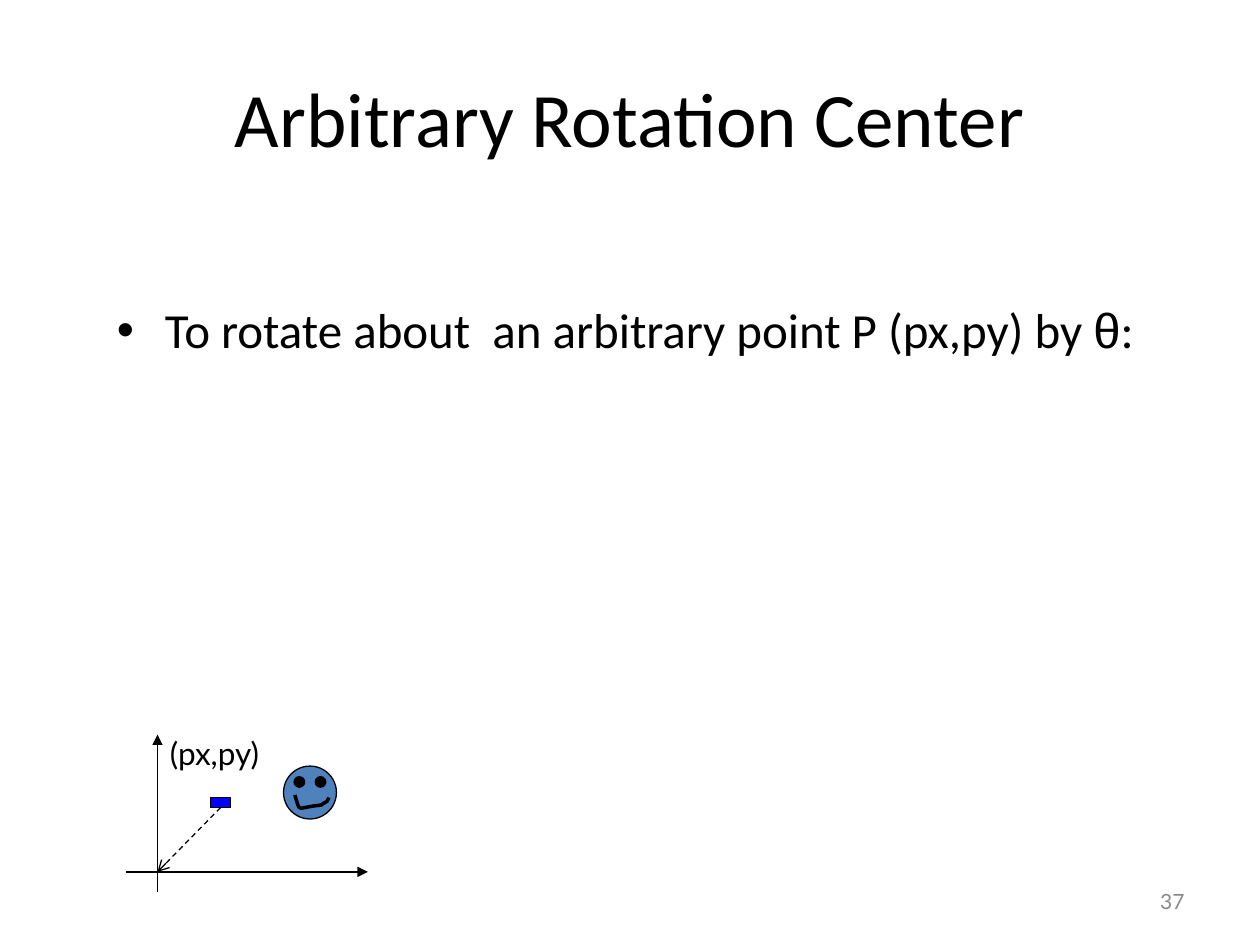
from lxml.etree import SubElement
from pptx import Presentation
from pptx.dml.color import RGBColor
from pptx.enum.dml import MSO_LINE
from pptx.enum.shapes import MSO_CONNECTOR, MSO_SHAPE as SHAPE
from pptx.enum.text import MSO_ANCHOR as ANCHOR, PP_ALIGN as ALIGN
from pptx.oxml.ns import qn
from pptx.util import Inches, Pt

BLACK = RGBColor(0x00, 0x00, 0x00)
GREY = RGBColor(0x89, 0x89, 0x89)
FACE_BLUE = RGBColor(0x4F, 0x81, 0xBD)
POINT_BLUE = RGBColor(0x00, 0x00, 0xFF)


def add_text(slide, box, runs, size, color=BLACK, wrap=True, align=ALIGN.LEFT,
             anchor=ANCHOR.TOP, bullet_indent=None):
    """Place one paragraph; runs are (text, font name) pairs."""
    frame = slide.shapes.add_textbox(*map(Inches, box)).text_frame
    for name, value in {"word_wrap": wrap, "vertical_anchor": anchor}.items():
        setattr(frame, name, value)
    paragraph = frame.paragraphs[0]
    if bullet_indent:
        props = paragraph._p.get_or_add_pPr()
        props.set("marL", str(Inches(bullet_indent)))
        props.set("indent", str(-Inches(bullet_indent)))
        SubElement(props, qn("a:buFont"), typeface="Arial")
        SubElement(props, qn("a:buChar"), char="•")
    paragraph.alignment = align
    for text, font_name in runs:
        run = paragraph.add_run()
        run.text = text
        for name, value in {"name": font_name, "size": Pt(size)}.items():
            setattr(run.font, name, value)
        run.font.color.rgb = color


def add_solid(shapes, preset, box, fill):
    solid = shapes.add_shape(preset, *map(Inches, box))
    solid.shadow.inherit = False
    solid.fill.solid()
    solid.fill.fore_color.rgb = fill
    solid.line.color.rgb = BLACK
    solid.line.width = Pt(0.75)
    return solid


def add_arrow(shapes, start, end, head="triangle", dash=None):
    arrow = shapes.add_connector(MSO_CONNECTOR.STRAIGHT, *map(Inches, start + end))
    arrow.line.color.rgb = BLACK
    for name, value in {"width": Pt(0.75), "dash_style": dash}.items():
        setattr(arrow.line, name, value)
    SubElement(arrow.line._get_or_add_ln(), qn("a:tailEnd"), type=head)
    SubElement(arrow._element.spPr, qn("a:effectLst"))
    return arrow


def curve_points(p0, p1, p2, p3, steps=12):
    """Points along a cubic curve, without its start."""
    for step in range(1, steps + 1):
        t = step / steps
        weights = ((1 - t) ** 3, 3 * t * (1 - t) ** 2, 3 * t * t * (1 - t), t ** 3)
        yield tuple(sum(w * p[axis] for w, p in zip(weights, (p0, p1, p2, p3)))
                    for axis in (0, 1))


def add_face(slide, left, top, size):
    face = slide.shapes.add_group_shape().shapes
    add_solid(face, SHAPE.OVAL, (left, top, size, size), FACE_BLUE)
    # Eyes
    eye = size / 5
    for eye_left in (left + eye, left + 3 * eye):
        add_solid(face, SHAPE.OVAL, (eye_left, top + eye, eye, eye), BLACK)
    # Crooked mouth: two joined curves, as offsets from the face's corner
    mouth_start, mouth_turn = (0.09, 0.23), (0.3, 0.31)
    offsets = [mouth_start,
               *curve_points(mouth_start, (0.14, 0.38), (0.09, 0.33), mouth_turn),
               *curve_points(mouth_turn, (0.35, 0.27), (0.34, 0.3), (0.36, 0.25))]
    points = [(Inches(left + x), Inches(top + y)) for x, y in offsets]
    builder = face.build_freeform(*points[0])
    builder.add_line_segments(points[1:], close=False)
    mouth = builder.convert_to_shape()
    mouth.shadow.inherit = False
    mouth.fill.background()
    mouth.line.color.rgb = BLACK
    mouth.line.width = Pt(2)


def add_diagram(slide, left, top, width, height):
    origin_x, origin_y = left + 0.25, top + height - 0.16
    # Axes
    axes = slide.shapes.add_group_shape().shapes
    add_arrow(axes, (left, origin_y), (left + width, origin_y))
    add_arrow(axes, (origin_x, top + height), (origin_x, top))
    add_face(slide, left + 1.25, top + 0.25, 0.42)
    # Rotation center and its vector to the origin
    center = add_solid(slide.shapes, SHAPE.RECTANGLE,
                       (origin_x + 0.42, top + 0.5, 0.16, 0.08), POINT_BLUE)
    vector = add_arrow(slide.shapes, (origin_x + 0.5, top + 0.58),
                       (origin_x, origin_y), "arrow", MSO_LINE.DASH)
    vector.begin_connect(center, 2)
    add_text(slide, (origin_x, top - 0.05, 0.99, 0.4), [("(px,py)", "Lato")], 18,
             wrap=False)


def main():
    prs = Presentation()
    prs.slide_width, prs.slide_height = Inches(10), Inches(7.5)
    slide = prs.slides.add_slide(prs.slide_layouts[6])
    # Title, statement and page number
    add_text(slide, (0.5, 0.3, 9, 1.25), [("Arbitrary Rotation Center", "Calibri")], 44,
             align=ALIGN.CENTER, anchor=ANCHOR.MIDDLE)
    add_text(slide, (0.83, 2.33, 8.5, 4.5),
             [("To rotate about  an arbitrary point P (px,py) by ", "Calibri"),
              ("θ", "Arial"), (":", "Calibri")], 28, bullet_indent=0.38)
    add_text(slide, (7.17, 6.95, 2.33, 0.4), [("37", "Lato")], 12, GREY,
             align=ALIGN.RIGHT, anchor=ANCHOR.MIDDLE)
    add_diagram(slide, 1, 5.83, 1.92, 1.25)
    prs.save("out.pptx")


if __name__ == "__main__":
    main()
